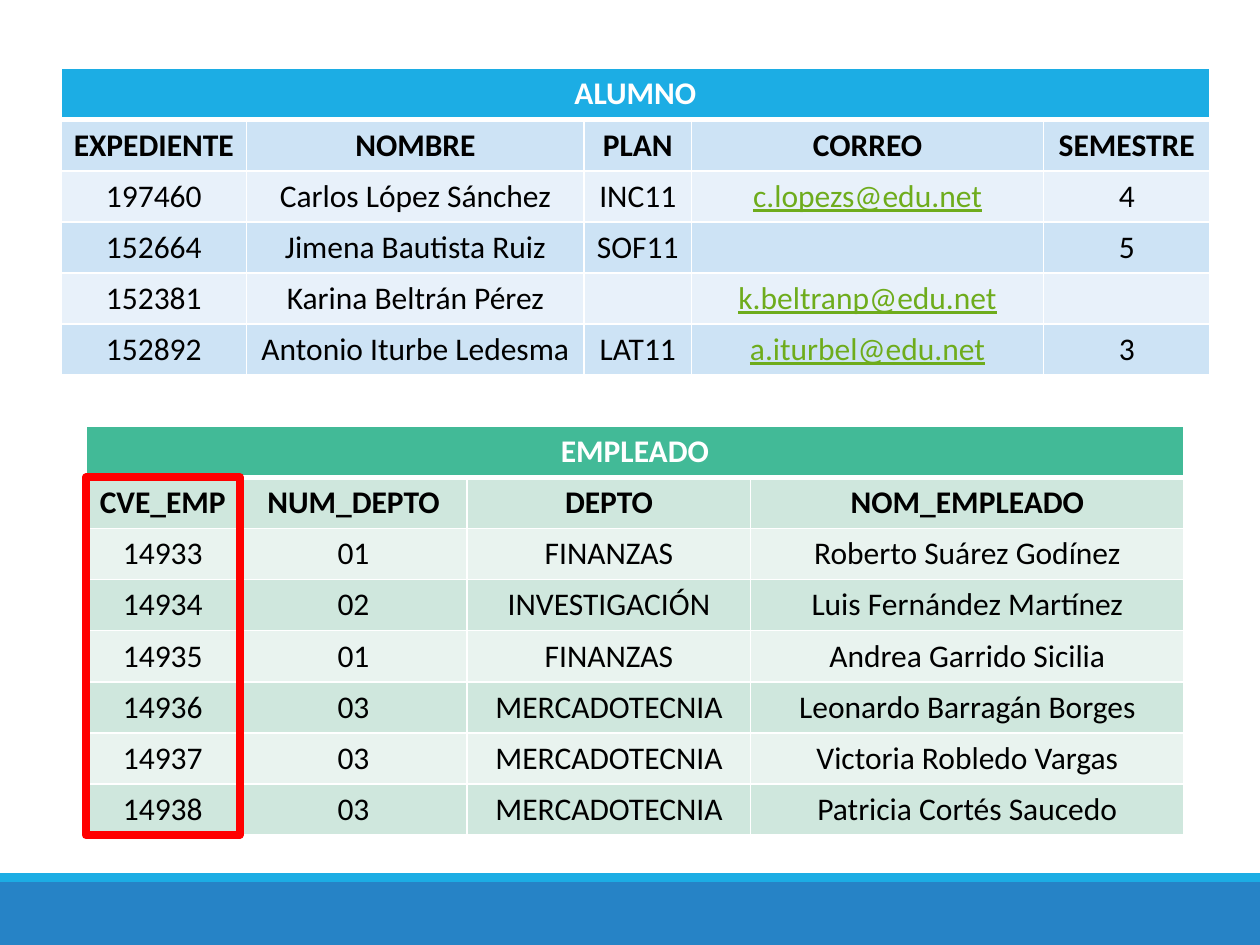
from lxml.etree import SubElement
from pptx import Presentation
from pptx.dml.color import RGBColor
from pptx.enum.shapes import MSO_SHAPE
from pptx.enum.text import PP_ALIGN
from pptx.oxml.ns import qn
from pptx.util import Pt

WHITE = RGBColor(0xFF, 0xFF, 0xFF)
BLACK = RGBColor(0x00, 0x00, 0x00)
RED = RGBColor(0xFF, 0x00, 0x00)
LINK = RGBColor(0x6E, 0xAC, 0x1C)
BLUE = RGBColor(0x1C, 0xAD, 0xE4)
DARK_BLUE = RGBColor(0x26, 0x83, 0xC6)
BLUE_BAND = RGBColor(0xCD, 0xE3, 0xF5)
BLUE_PALE = RGBColor(0xE8, 0xF1, 0xFA)
GREEN = RGBColor(0x42, 0xBA, 0x97)
GREEN_BAND = RGBColor(0xCF, 0xE7, 0xDD)
GREEN_PALE = RGBColor(0xE9, 0xF3, 0xEF)

ROW_H = 29.2

ALUMNO = [
    ["ALUMNO", "", "", "", ""],
    ["EXPEDIENTE", "NOMBRE", "PLAN", "CORREO", "SEMESTRE"],
    ["197460", "Carlos López Sánchez", "INC11", "c.lopezs@edu.net", "4"],
    ["152664", "Jimena Bautista Ruiz", "SOF11", "", "5"],
    ["152381", "Karina Beltrán Pérez", "", "k.beltranp@edu.net", ""],
    ["152892", "Antonio Iturbe Ledesma", "LAT11", "a.iturbel@edu.net", "3"],
]
EMPLEADO = [
    ["EMPLEADO", "", "", ""],
    ["CVE_EMP", "NUM_DEPTO", "DEPTO", "NOM_EMPLEADO"],
    ["14933", "01", "FINANZAS", "Roberto Suárez Godínez"],
    ["14934", "02", "INVESTIGACIÓN", "Luis Fernández Martínez"],
    ["14935", "01", "FINANZAS", "Andrea Garrido Sicilia"],
    ["14936", "03", "MERCADOTECNIA", "Leonardo Barragán Borges"],
    ["14937", "03", "MERCADOTECNIA", "Victoria Robledo Vargas"],
    ["14938", "03", "MERCADOTECNIA", "Patricia Cortés Saucedo"],
]


def set_borders(cell, top, bottom):
    """Give the cell white borders; top and bottom are widths in points."""
    tcPr = cell._tc.get_or_add_tcPr()
    for side, width in (("L", 1), ("R", 1), ("T", top), ("B", bottom)):
        ln = SubElement(tcPr, qn(f"a:ln{side}"), w=str(Pt(width)))
        SubElement(SubElement(ln, qn("a:solidFill")), qn("a:srgbClr"), val=str(WHITE))


prs = Presentation()
prs.slide_width, prs.slide_height = Pt(720), Pt(540)
s = prs.slides.add_slide(prs.slide_layouts[6])

# Footer bands
for top, height, color in ((504, 36, DARK_BLUE), (499, 5, BLUE)):
    sp = s.shapes.add_shape(MSO_SHAPE.RECTANGLE, 0, Pt(top), Pt(720), Pt(height))
    sp.shadow.inherit = False
    sp.fill.solid()
    sp.fill.fore_color.rgb = color
    sp.line.fill.background()

# Tables: title row, heading row, then banded data rows
tables = [
    (ALUMNO, 34.8, 39.2, [106.2, 192.8, 61.4, 201.2, 95], BLUE, BLUE_BAND, BLUE_PALE),
    (EMPLEADO, 49, 243.6, [88, 130, 162, 247.6], GREEN, GREEN_BAND, GREEN_PALE),
]
for rows, left, top, widths, title_color, band, pale in tables:
    tbl = s.shapes.add_table(len(rows), len(widths), Pt(left), Pt(top),
                             Pt(sum(widths)), Pt(ROW_H * len(rows))).table
    for col, width in zip(tbl.columns, widths):
        col.width = Pt(width)
    for i, values in enumerate(rows):
        tbl.rows[i].height = Pt(ROW_H)
        for j, text in enumerate(values):
            cell = tbl.cell(i, j)
            set_borders(cell, 3 if i == 1 else 1, 3 if i == 0 else 1)
            cell.fill.solid()
            cell.fill.fore_color.rgb = title_color if i == 0 else band if i % 2 else pale
            p = cell.text_frame.paragraphs[0]
            p.alignment = PP_ALIGN.CENTER
            if text:
                r = p.add_run()
                r.text = text
                r.font.name, r.font.size = "Calibri", Pt(18)
                r.font.bold = i < 2
                is_mail = "@" in text
                r.font.underline = is_mail
                r.font.color.rgb = WHITE if i == 0 else LINK if is_mail else BLACK
    tbl.cell(0, 0).merge(tbl.cell(0, len(widths) - 1))

# Frame around the key column of EMPLEADO
sp = s.shapes.add_shape(MSO_SHAPE.RECTANGLE, Pt(49), Pt(243.6 + ROW_H),
                        Pt(88), Pt(ROW_H * (len(EMPLEADO) - 1)))
sp.shadow.inherit = False
sp.fill.background()
sp.line.color.rgb = RED
sp.line.width = Pt(4.5)
SubElement(sp.line._get_or_add_ln(), qn("a:round"))

prs.save("out.pptx")
